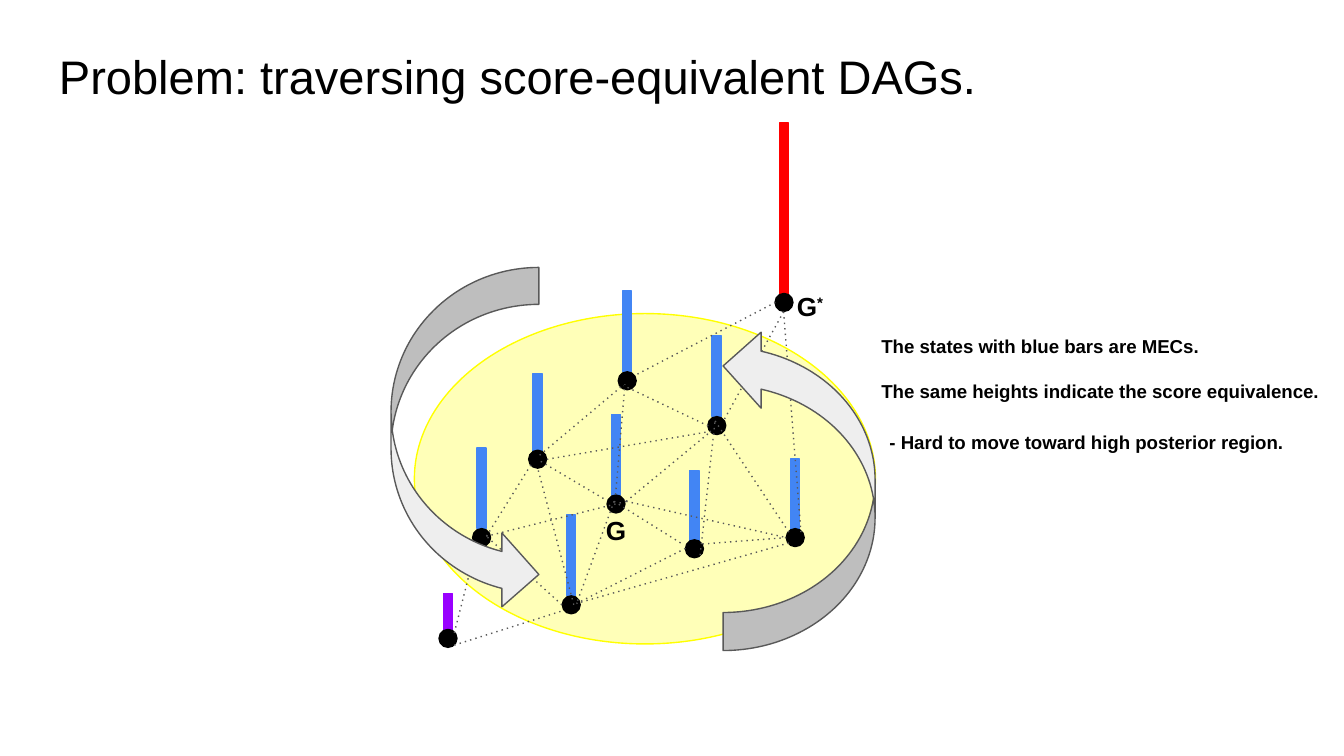
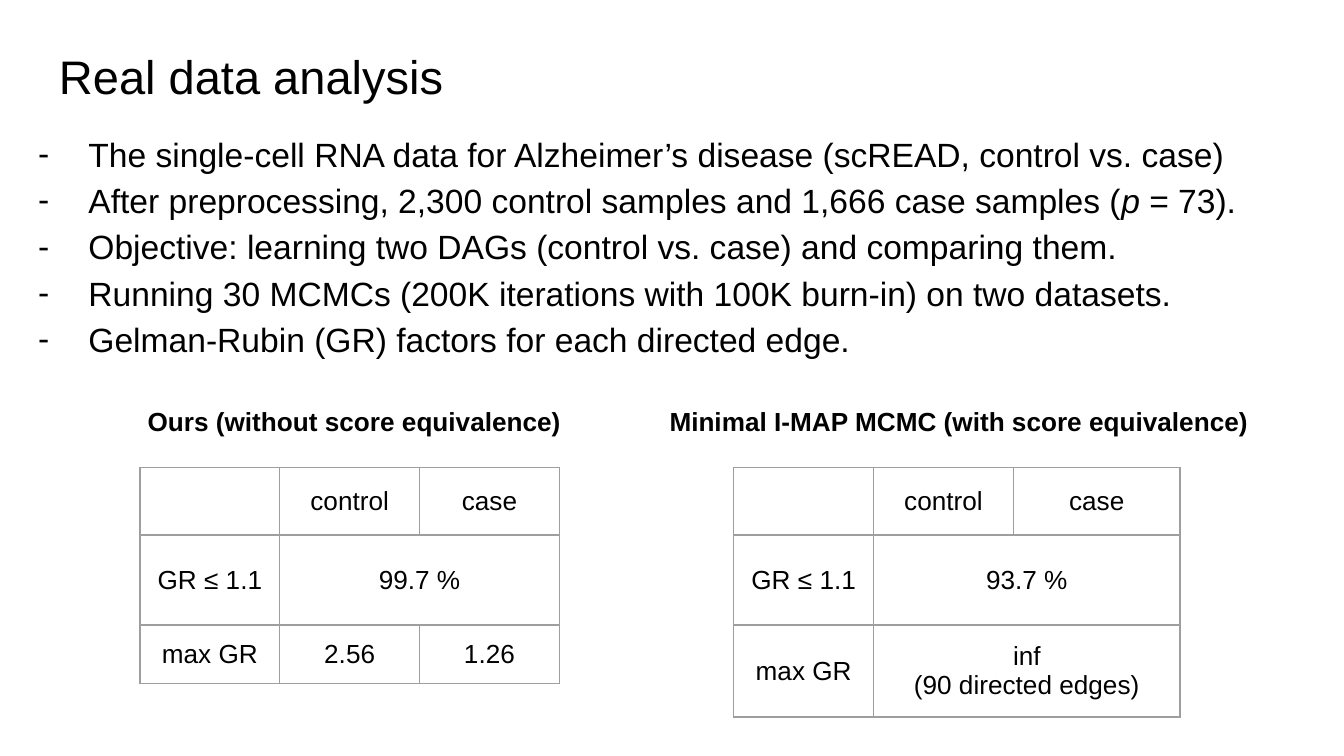
from typing import NamedTuple

from lxml.etree import SubElement
from pptx import Presentation
from pptx.dml.color import RGBColor
from pptx.enum.shapes import MSO_CONNECTOR, MSO_SHAPE
from pptx.enum.text import MSO_ANCHOR, PP_ALIGN
from pptx.oxml.ns import qn
from pptx.shapes.autoshape import Shape
from pptx.slide import Slide
from pptx.text.text import TextFrame
from pptx.util import Pt

BLACK = RGBColor(0x00, 0x00, 0x00)
YELLOW = RGBColor(0xFF, 0xFF, 0x00)
RED = RGBColor(0xFF, 0x00, 0x00)
PURPLE = RGBColor(0x99, 0x00, 0xFF)
BLUE = RGBColor(0x42, 0x85, 0xF4)
PALE_GRAY = RGBColor(0xEE, 0xEE, 0xEE)
DARK_GRAY = RGBColor(0x59, 0x59, 0x59)
BORDER_GRAY = RGBColor(0x9E, 0x9E, 0x9E)

FONT = "Arial"
INSET = 7.2
LINE_WIDTH = 0.75
DOT_SIZE = 9.6
BAR_WIDTH = 5
BAR_HEIGHT = 43.2


class Box(NamedTuple):
    x: float
    y: float
    w: float
    h: float


class Run(NamedTuple):
    text: str
    italic: bool = False
    raised: bool = False


class State(NamedTuple):
    """A graph state: dot centre, top of its score bar, and the bar's look."""
    x: float
    y: float
    bar_top: float
    bar_height: float = BAR_HEIGHT
    color: RGBColor = BLUE


class Edge(NamedTuple):
    x1: float
    y1: float
    x2: float
    y2: float


class GRTable(NamedTuple):
    """A results table; None marks a cell merged into the one on its left."""
    heading: str
    heading_box: Box
    align: PP_ALIGN
    left: float
    widths: list[float]
    heights: list[float]
    rows: list[list[str | None]]


STATES = [
    State(258, 288, 240),
    State(288, 246, 200),
    State(330, 270, 222),
    State(306, 324, 276),
    State(372, 294, 252),
    State(384, 228, 180),
    State(336, 204, 156),
    State(426, 288, 246),
    State(420, 162, 66, 93.6, RED),
    State(240, 342, 318, 21.6, PURPLE),
]

EDGES = [
    Edge(380.9, 231.1, 292.3, 246.2),
    Edge(329, 268.6, 308.9, 323.3),
    Edge(335.5, 268.6, 260.6, 287.3),
    Edge(323.3, 267.1, 288, 246.2),
    Edge(329.8, 265, 334.8, 205.9),
    Edge(335.5, 268.6, 380.9, 231.1),
    Edge(329, 268.6, 365.8, 291.6),
    Edge(335.5, 268.6, 421.2, 288),
    Edge(284.4, 249.1, 260.6, 287.3),
    Edge(332.6, 207.4, 288, 244.8),
    Edge(379.4, 228.2, 334.1, 206.6),
    Edge(421.2, 288, 374.4, 291.6),
    Edge(422.6, 285.1, 383, 225.4),
    Edge(301, 324, 260.6, 287.3),
    Edge(307.4, 324, 288, 250.6),
    Edge(367.2, 293.8, 308.9, 323.3),
    Edge(422.6, 290.9, 308.9, 323.3),
    Edge(375.1, 297.4, 383, 226.1),
    Edge(415.4, 162, 340.6, 200.9),
    Edge(419.8, 167, 388.1, 224.6),
    Edge(419.8, 167, 429.1, 285.1),
    Edge(243.4, 339.1, 254.9, 293.8),
    Edge(243.4, 345.6, 302.4, 326.9),
]

BULLETS = [
    [Run("The single-cell RNA data for Alzheimer’s disease (scREAD, control vs. case)")],
    [Run("After preprocessing, 2,300 control samples and 1,666 case samples ("),
     Run("p", italic=True), Run(" = 73).")],
    [Run("Objective: learning two DAGs (control vs. case) and comparing them.")],
    [Run("Running 30 MCMCs (200K iterations with 100K burn-in) on two datasets.")],
    [Run("Gelman-Rubin (GR) factors for each directed edge.")],
]

TABLES = [
    GRTable("Ours (without score equivalence)", Box(72, 210.2, 295.2, 31.7),
            PP_ALIGN.LEFT, 75, [74.9, 74.9, 74.9], [31, 48.2, 31],
            [["", "control", "case"],
             ["GR ≤ 1.1", "99.7 %", None],
             ["max GR", "2.56", "1.26"]]),
    GRTable("Minimal I-MAP MCMC (with score equivalence)", Box(347.8, 210.2, 331.9, 31.7),
            PP_ALIGN.CENTER, 393.1, [74.9, 74.9, 89.3], [31, 48.2, 49.3],
            [["", "control", "case"],
             ["GR ≤ 1.1", "93.7 %", None],
             ["max GR", "inf\n(90 directed edges)", None]]),
]


def format_text(tf: TextFrame, size: float, bold: bool = False,
                align: PP_ALIGN = PP_ALIGN.LEFT) -> None:
    for p in tf.paragraphs:
        p.alignment = align
        for r in p.runs:
            r.font.name = FONT
            r.font.size = Pt(size)
            r.font.bold = bold
            r.font.color.rgb = BLACK


def add_text(slide: Slide, box: Box, paragraphs: list[list[Run]], size: float,
             bold: bool = False, align: PP_ALIGN = PP_ALIGN.LEFT) -> TextFrame:
    tf = slide.shapes.add_textbox(*map(Pt, box)).text_frame
    tf.word_wrap = True
    tf.margin_left = tf.margin_right = tf.margin_top = tf.margin_bottom = Pt(INSET)
    for i, runs in enumerate(paragraphs):
        p = tf.paragraphs[0] if i == 0 else tf.add_paragraph()
        for run in runs:
            r = p.add_run()
            r.text = run.text
            r.font.italic = run.italic
            if run.raised:
                r.font._element.set("baseline", "30000")
    format_text(tf, size, bold, align)
    return tf


def add_title(slide: Slide, title: str) -> None:
    tf = add_text(slide, Box(24.5, 17.3, 671, 45.4), [[Run(title)]], 25.2)
    tf.vertical_anchor = MSO_ANCHOR.BOTTOM


def add_shape(slide: Slide, kind: MSO_SHAPE, box: Box, fill: RGBColor,
              line: RGBColor) -> Shape:
    sp = slide.shapes.add_shape(kind, *map(Pt, box))
    sp.shadow.inherit = False
    sp.fill.solid()
    sp.fill.fore_color.rgb = fill
    sp.line.color.rgb = line
    sp.line.width = Pt(LINE_WIDTH)
    return sp


def add_state(slide: Slide, state: State) -> None:
    bar = Box(state.x - BAR_WIDTH / 2, state.bar_top, BAR_WIDTH, state.bar_height)
    dot = Box(state.x - DOT_SIZE / 2, state.y - DOT_SIZE / 2, DOT_SIZE, DOT_SIZE)
    add_shape(slide, MSO_SHAPE.RECTANGLE, bar, state.color, state.color)
    add_shape(slide, MSO_SHAPE.OVAL, dot, BLACK, BLACK)


def add_dotted_edge(slide: Slide, edge: Edge) -> None:
    c = slide.shapes.add_connector(MSO_CONNECTOR.STRAIGHT, *map(Pt, edge))
    c.line.color.rgb = DARK_GRAY
    c.line.width = Pt(LINE_WIDTH)
    spPr = c._element.spPr
    SubElement(spPr.find(qn("a:ln")), qn("a:prstDash"), val="dot")
    SubElement(spPr, qn("a:effectLst"))


def add_arrow(slide: Slide, box: Box, rotation: float = 0) -> None:
    sp = add_shape(slide, MSO_SHAPE.CURVED_RIGHT_ARROW, box, PALE_GRAY, DARK_GRAY)
    sp.rotation = rotation
    for i, value in enumerate((0.25, 0.5, 0.25)):
        sp.adjustments[i] = value


def add_dash_bullets(tf: TextFrame) -> None:
    for p in tf.paragraphs:
        pPr = p._p.get_or_add_pPr()
        pPr.set("marL", str(Pt(36)))
        pPr.set("indent", str(-Pt(27)))
        color = SubElement(pPr, qn("a:buClr"))
        SubElement(color, qn("a:srgbClr"), val=str(BLACK))
        SubElement(pPr, qn("a:buFont"), typeface=FONT)
        SubElement(pPr, qn("a:buChar"), char="-")
        p.line_spacing = 1.15


def add_gr_table(slide: Slide, spec: GRTable) -> None:
    add_text(slide, spec.heading_box, [[Run(spec.heading)]], 14, True, spec.align)
    box = Box(spec.left, 250.6, sum(spec.widths), sum(spec.heights))
    table = slide.shapes.add_table(len(spec.rows), len(spec.widths), *map(Pt, box)).table
    table.first_row = table.horz_banding = False
    for column, width in zip(table.columns, spec.widths):
        column.width = Pt(width)
    for i, (values, height) in enumerate(zip(spec.rows, spec.heights)):
        table.rows[i].height = Pt(height)
        for j, value in enumerate(values):
            cell = table.cell(i, j)
            tcPr = cell._tc.get_or_add_tcPr()
            for side in ("lnL", "lnR", "lnT", "lnB"):
                ln = SubElement(tcPr, qn(f"a:{side}"), w=str(Pt(LINE_WIDTH)))
                fill = SubElement(ln, qn("a:solidFill"))
                SubElement(fill, qn("a:srgbClr"), val=str(BORDER_GRAY))
            cell.fill.background()
            cell.margin_left = cell.margin_right = Pt(INSET)
            cell.margin_top = cell.margin_bottom = Pt(INSET)
            cell.vertical_anchor = MSO_ANCHOR.MIDDLE
            if value is None:
                table.cell(i, j - 1).merge(cell)
            elif value:
                cell.text_frame.text = value
                format_text(cell.text_frame, 14, align=PP_ALIGN.CENTER)


def build_problem_slide(slide: Slide) -> None:
    region = add_shape(slide, MSO_SHAPE.OVAL, Box(222, 168, 247, 177), YELLOW, YELLOW)
    color = region._element.spPr.find(qn("a:solidFill")).find(qn("a:srgbClr"))
    SubElement(color, qn("a:alpha"), val="28000")
    add_title(slide, "Problem: traversing score-equivalent DAGs.")
    for state in STATES:
        add_state(slide, state)
    for edge in EDGES:
        add_dotted_edge(slide, edge)
    add_text(slide, Box(317.5, 268.6, 35.3, 31.7), [[Run("G")]], 14, True)
    add_text(slide, Box(419.8, 148.3, 35.3, 31.7), [[Run("G"), Run("*", raised=True)]], 14, True)
    add_arrow(slide, Box(387.4, 175.7, 81.4, 172.8), 180)
    add_arrow(slide, Box(209.5, 143.3, 79.2, 184.3))
    tf = add_text(slide, Box(465.1, 172.1, 254.2, 74.9),
                  [[Run("The states with blue bars are MECs.")],
                   [Run("The same heights indicate the score equivalence.")]], 10, True)
    tf.paragraphs[1].space_before = Pt(12)
    add_text(slide, Box(469.4, 224.6, 236.2, 26.6),
             [[Run("- Hard to move toward high posterior region.")]], 10, True)


def build_analysis_slide(slide: Slide) -> None:
    add_title(slide, "Real data analysis")
    for spec in TABLES:
        add_gr_table(slide, spec)
    add_dash_bullets(add_text(slide, Box(4.3, 61.2, 675.4, 136.8), BULLETS, 18))


def main() -> None:
    prs = Presentation()
    prs.slide_width, prs.slide_height = Pt(720), Pt(405)
    blank = prs.slide_layouts[6]
    for build in (build_problem_slide, build_analysis_slide):
        build(prs.slides.add_slide(blank))
    prs.save("out.pptx")


if __name__ == "__main__":
    main()
